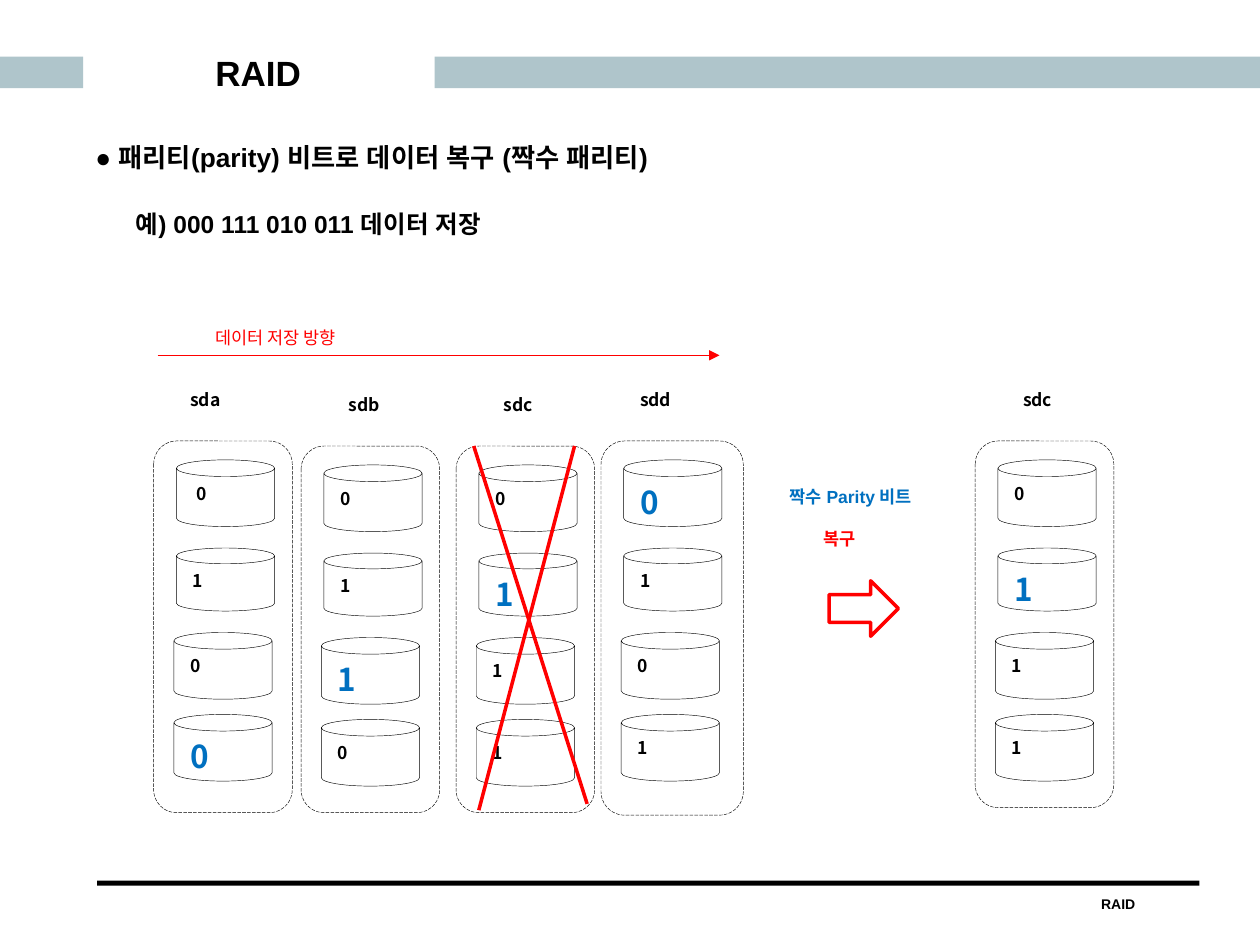
import pptx
import pptx.util
import pptx.dml.color
import pptx.enum.dml
import pptx.enum.shapes
import pptx.enum.text
import pptx.oxml.ns
from lxml import etree

Inches = pptx.util.Inches
Pt = pptx.util.Pt
RGBColor = pptx.dml.color.RGBColor
MSO_SHAPE = pptx.enum.shapes.MSO_SHAPE
qn = pptx.oxml.ns.qn
CENTER = pptx.enum.text.PP_ALIGN.CENTER
LEFT = pptx.enum.text.PP_ALIGN.LEFT
TOP = pptx.enum.text.MSO_ANCHOR.TOP
MIDDLE = pptx.enum.text.MSO_ANCHOR.MIDDLE

BLACK = RGBColor(0x00, 0x00, 0x00)
RED = RGBColor(0xFF, 0x00, 0x00)
BLUE = RGBColor(0x00, 0x70, 0xC0)
BAND = RGBColor(0xAF, 0xC5, 0xCB)
ARIAL = "Arial"
NOTO = "Noto Sans CJK KR"


def write(p, text, size, name, color=BLACK, bold=True, align=LEFT):
    p.alignment = align
    r = p.add_run()
    r.text = text
    fmt = {"size": Pt(size), "name": name, "bold": bold}
    for key, value in fmt.items():
        setattr(r.font, key, value)
    r.font.color.rgb = color
    etree.SubElement(r.font._element, qn("a:ea"), typeface=name)


def add_line(shapes, x1, y1, x2, y2, width):
    c = shapes.add_connector(pptx.enum.shapes.MSO_CONNECTOR.STRAIGHT,
                             Inches(x1), Inches(y1), Inches(x2), Inches(y2))
    c.line.color.rgb = RED
    c.line.width = Pt(width)
    etree.SubElement(c._element.spPr, qn("a:effectLst"))
    return c


prs = pptx.Presentation()
prs.slide_width = Inches(10)
prs.slide_height = Inches(7.5)
s = prs.slides.add_slide(prs.slide_layouts[6])

bars = [
    (0, 0.45, 0.66, 0.25, BAND),
    (3.45, 0.45, 6.55, 0.25, BAND),
    (0.77, 6.99, 8.75, 0.04, BLACK),
]
for x, y, w, h, color in bars:
    sp = s.shapes.add_shape(MSO_SHAPE.RECTANGLE, Inches(x), Inches(y), Inches(w), Inches(h))
    sp.shadow.inherit = False
    sp.fill.solid()
    sp.fill.fore_color.rgb = color
    sp.line.fill.background()

texts = [
    (8.23, 7.06, 1.29, 0.24, "RAID", 8, ARIAL, BLACK, True, CENTER, TOP, True),
    (0.75, 0.36, 2.6, 0.43, "RAID", 20, ARIAL, BLACK, True, CENTER, MIDDLE, True),
    (0.66, 1.07, 5.1, 0.35, "● 패리티(parity) 비트로 데이터 복구 (짝수 패리티)",
     15, ARIAL, BLACK, True, LEFT, TOP, False),
    (0.98, 1.61, 3.23, 0.34, "예) 000 111 010 011 데이터 저장",
     14, ARIAL, BLACK, True, LEFT, TOP, False),
    (1.61, 2.55, 1.28, 0.27, "데이터 저장 방향", 10, NOTO, RED, False, LEFT, TOP, False),
    (6.17, 3.81, 1.25, 0.61, "짝수 Parity 비트", 10, ARIAL, BLUE, True, LEFT, TOP, False),
]
for x, y, w, h, text, size, name, color, bold, align, anchor, wrap in texts:
    tf = s.shapes.add_textbox(Inches(x), Inches(y), Inches(w), Inches(h)).text_frame
    tf.word_wrap = wrap
    tf.vertical_anchor = anchor
    write(tf.paragraphs[0], text, size, name, color, bold, align)

p = tf.add_paragraph()
p.space_before = Pt(12)
p._p.get_or_add_pPr().set("marL", str(Inches(0.27)))
write(p, "복구", 10, ARIAL, RED)

arrow = add_line(s.shapes, 1.25, 2.82, 5.71, 2.82, 0.75)
etree.SubElement(arrow.line._get_or_add_ln(), qn("a:tailEnd"), type="triangle")

sp = s.shapes.add_shape(MSO_SHAPE.RIGHT_ARROW, Inches(6.58), Inches(4.61), Inches(0.55), Inches(0.44))
sp.shadow.inherit = False
sp.fill.background()
sp.line.color.rgb = RED
sp.line.width = Pt(2)

cans = [(0.18, 0.15, 0.53), (0.18, 0.85, 0.5), (0.16, 1.52, 0.53), (0.16, 2.17, 0.53)]
disks = [
    (7.74, 3.5, 1.1, 2.91, "sdc", 0.38, "0111", 1),
    (1.22, 3.5, 1.1, 2.95, "sda", 0.29, "0100", 3),
    (2.39, 3.54, 1.1, 2.91, "sdb", 0.38, "0110", 2),
    (3.62, 3.54, 1.1, 2.91, "sdc", 0.38, "0111", 1),
    (4.77, 3.5, 1.13, 2.97, "sdd", 0.31, "0101", 0),
]
for x, y, w, h, label, indent, bits, parity in disks:
    group = s.shapes.add_group_shape().shapes
    frame = group.add_shape(MSO_SHAPE.ROUNDED_RECTANGLE, Inches(x), Inches(y), Inches(w), Inches(h))
    frame.line.dash_style = pptx.enum.dml.MSO_LINE.LONG_DASH
    outlines = [frame]
    for i, (dx, dy, height) in enumerate(cans):
        can = group.add_shape(MSO_SHAPE.CAN, Inches(x + dx), Inches(y + dy), Inches(0.78), Inches(height))
        outlines.append(can)
        tf = can.text_frame
        tf.vertical_anchor = TOP
        tf.margin_left = Inches(0.16 if label == "sda" and i == 0 else 0.13)
        size, color = (18, BLUE) if i == parity else (10, BLACK)
        write(tf.paragraphs[0], bits[i], size, NOTO, color)
    for sp in outlines:
        sp.shadow.inherit = False
        sp.fill.background()
        sp.line.color.rgb = BLACK
        sp.line.width = Pt(0.25)
    tf = group.add_textbox(Inches(x), Inches(y - 0.46), Inches(1.2), Inches(0.27)).text_frame
    tf.word_wrap = True
    tf.margin_left = Inches(indent)
    write(tf.paragraphs[0], label, 10, NOTO)

add_line(s.shapes, 3.8, 6.43, 4.56, 3.54, 2)
add_line(s.shapes, 3.76, 3.54, 4.66, 6.38, 2)

prs.save("out.pptx")
